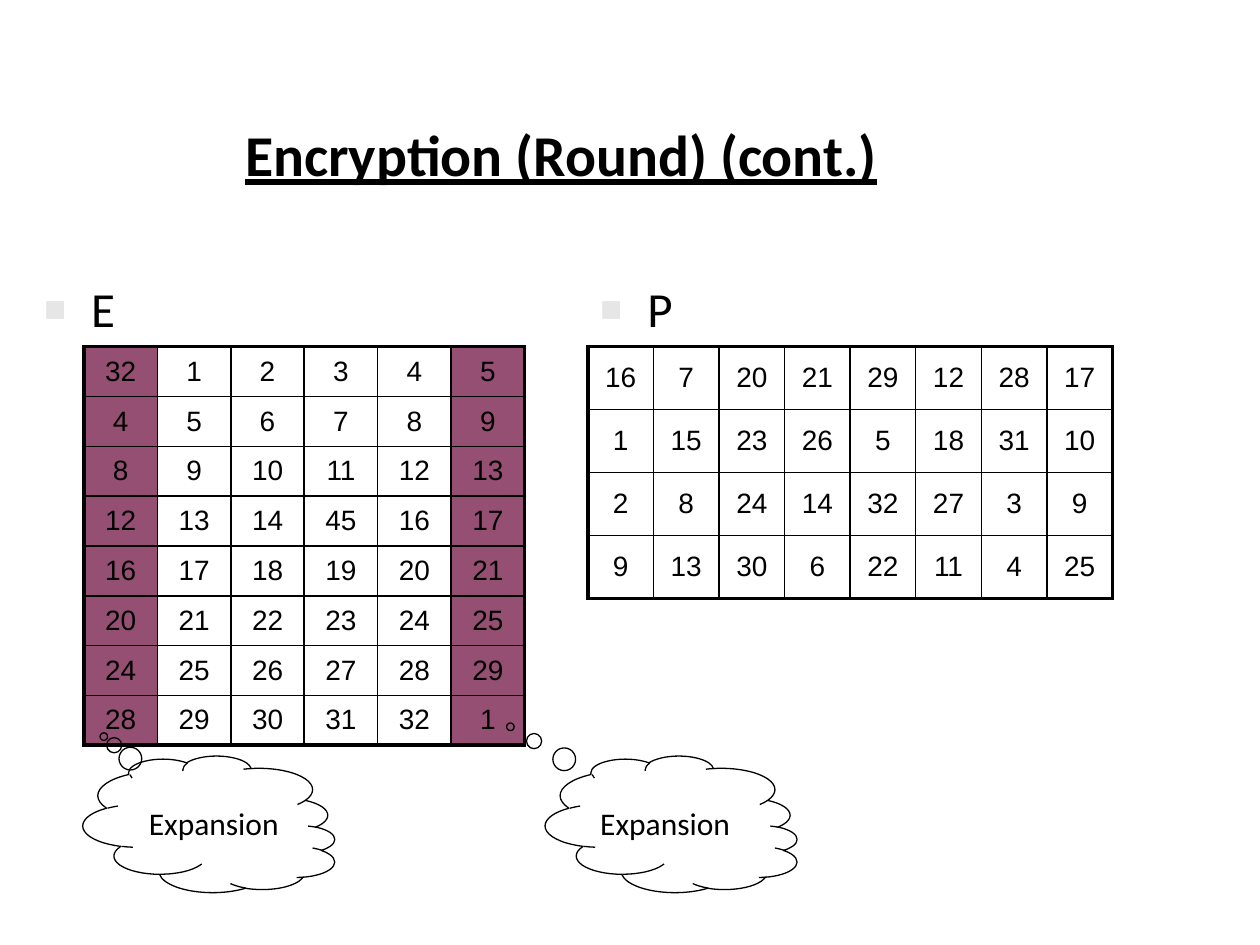
"""Builds a slide with the expansion (E) and permutation (P) tables of a cipher round."""
from dataclasses import dataclass

from lxml import etree
from pptx import Presentation
from pptx import util as u
from pptx.dml.color import RGBColor
from pptx.enum import shapes, text
from pptx.oxml.ns import qn

COLOURS = {"ink": "000000", "highlight": "954F72", "bullet": "E7E6E6"}
THIN, THICK = u.Pt(1), u.Pt(2.25)


@dataclass
class Label:
    content: str
    left: float
    top: float
    width: float
    height: float
    size: float
    indent: float = 0
    bullet: bool = False
    title: bool = False
    grow: bool = False


@dataclass
class Grid:
    left: float
    top: float
    width: float
    height: float
    rows: list[list[int]]
    highlighted: tuple[int, ...] = ()


@dataclass
class Cloud:
    left: float
    top: float
    width: float
    height: float
    tail: tuple[float, float]


EXPANSION = [
    [32, 1, 2, 3, 4, 5],
    [4, 5, 6, 7, 8, 9],
    [8, 9, 10, 11, 12, 13],
    [12, 13, 14, 45, 16, 17],
    [16, 17, 18, 19, 20, 21],
    [20, 21, 22, 23, 24, 25],
    [24, 25, 26, 27, 28, 29],
    [28, 29, 30, 31, 32, 1],
]
PERMUTATION = [
    [16, 7, 20, 21, 29, 12, 28, 17],
    [1, 15, 23, 26, 5, 18, 31, 10],
    [2, 8, 24, 14, 32, 27, 3, 9],
    [9, 13, 30, 6, 22, 11, 4, 25],
]
GRIDS = [
    Grid(1.69, 6.99, 8.89, 8.04, EXPANSION, (0, 5)),
    Grid(11.85, 6.99, 10.58, 5.08, PERMUTATION),
]
LABELS = [
    Label("Encryption (Round) (cont.)", 1.27, 1.27, 22.86, 3.81, 33, indent=3.42, title=True),
    Label("E", 0.64, 5.5, 2.96, 1.48, 28, indent=0.95, bullet=True),
    Label("P", 11.85, 5.5, 2.96, 1.48, 28, indent=0.95, bullet=True),
    Label("Expansion", 11.85, 16.09, 3.6, 1.02, 18, grow=True),
    Label("Expansion", 2.75, 16.09, 3.6, 1.02, 18, grow=True),
]
CLOUDS = [
    Cloud(12.17, 14.08, 2.75, 5.08, (-0.716, 0.641)),
    Cloud(2.85, 14.08, 2.75, 5.08, (-0.644, 0.42)),
]


def colour(name: str) -> RGBColor:
    """Return a named colour of the palette."""
    return RGBColor.from_string(COLOURS[name])


def add_run(paragraph, content: str, size: float, font: str):
    """Append a black run and return it."""
    run = paragraph.add_run()
    run.text = content
    run.font.size = u.Pt(size)
    run.font.name = font
    run.font.color.rgb = colour("ink")
    return run


def add_bullet(properties) -> None:
    """Give paragraph properties a small square bullet."""
    bullet_colour = etree.SubElement(properties, qn("a:buClr"))
    etree.SubElement(bullet_colour, qn("a:srgbClr"), val=COLOURS["bullet"])
    etree.SubElement(properties, qn("a:buSzPct"), val="75000")
    etree.SubElement(properties, qn("a:buFont"), typeface="Arial")
    etree.SubElement(properties, qn("a:buChar"), char="■")


def add_label(slide, label: Label) -> None:
    """Draw a text box with one paragraph."""
    box = slide.shapes.add_textbox(
        u.Cm(label.left), u.Cm(label.top), u.Cm(label.width), u.Cm(label.height))
    frame = box.text_frame
    frame.word_wrap = True
    if label.grow:
        frame.auto_size = text.MSO_AUTO_SIZE.SHAPE_TO_FIT_TEXT
    paragraph = frame.paragraphs[0]
    properties = paragraph._p.get_or_add_pPr()
    if label.indent:
        properties.set("marL", str(u.Cm(label.indent)))
    if label.bullet:
        properties.set("indent", str(-u.Cm(label.indent)))
        add_bullet(properties)
    run = add_run(paragraph, label.content, label.size, "Calibri")
    if label.title:
        frame.vertical_anchor = text.MSO_ANCHOR.MIDDLE
        paragraph.line_spacing = 0.9
        run.font.bold = True
        run.font.underline = True


def add_borders(cell, outer_sides: dict[str, bool]) -> None:
    """Draw the four cell borders, thick on the outer sides."""
    properties = cell._tc.get_or_add_tcPr()
    for side, outer in outer_sides.items():
        line = etree.SubElement(properties, qn(f"a:ln{side}"), w=str(THICK if outer else THIN))
        fill = etree.SubElement(line, qn("a:solidFill"))
        etree.SubElement(fill, qn("a:srgbClr"), val=COLOURS["ink"])


def add_grid(slide, grid: Grid) -> None:
    """Draw a table of centred numbers with a thick frame."""
    row_count, column_count = len(grid.rows), len(grid.rows[0])
    table = slide.shapes.add_table(
        row_count, column_count, u.Cm(grid.left), u.Cm(grid.top),
        u.Cm(grid.width), u.Cm(grid.height)).table
    table.first_row = table.horz_banding = False
    for column in table.columns:
        column.width = u.Cm(grid.width / column_count)
    for row_index, values in enumerate(grid.rows):
        table.rows[row_index].height = u.Cm(grid.height / row_count)
        for column_index, value in enumerate(values):
            cell = table.cell(row_index, column_index)
            cell.vertical_anchor = text.MSO_ANCHOR.MIDDLE
            add_borders(cell, {
                "L": column_index == 0,
                "R": column_index == column_count - 1,
                "T": row_index == 0,
                "B": row_index == row_count - 1,
            })
            if column_index in grid.highlighted:
                cell.fill.solid()
                cell.fill.fore_color.rgb = colour("highlight")
            else:
                cell.fill.background()
            paragraph = cell.text_frame.paragraphs[0]
            paragraph.alignment = text.PP_ALIGN.CENTER
            add_run(paragraph, str(value), 16, "Arial")


def add_cloud(slide, cloud: Cloud) -> None:
    """Draw an outlined thought cloud turned a quarter."""
    shape = slide.shapes.add_shape(
        shapes.MSO_SHAPE.CLOUD_CALLOUT, u.Cm(cloud.left), u.Cm(cloud.top),
        u.Cm(cloud.width), u.Cm(cloud.height))
    shape.rotation = 90
    shape.shadow.inherit = False
    shape.adjustments[0], shape.adjustments[1] = cloud.tail
    shape.fill.background()
    shape.line.color.rgb = colour("ink")
    shape.line.width = u.Pt(0.75)


def main() -> None:
    """Build and save the presentation."""
    presentation = Presentation()
    presentation.slide_width, presentation.slide_height = u.Cm(25.4), u.Cm(19.05)
    slide = presentation.slides.add_slide(presentation.slide_layouts[6])
    for grid in GRIDS:
        add_grid(slide, grid)
    for label in LABELS:
        add_label(slide, label)
    for cloud in CLOUDS:
        add_cloud(slide, cloud)
    presentation.save("out.pptx")


if __name__ == "__main__":
    main()
